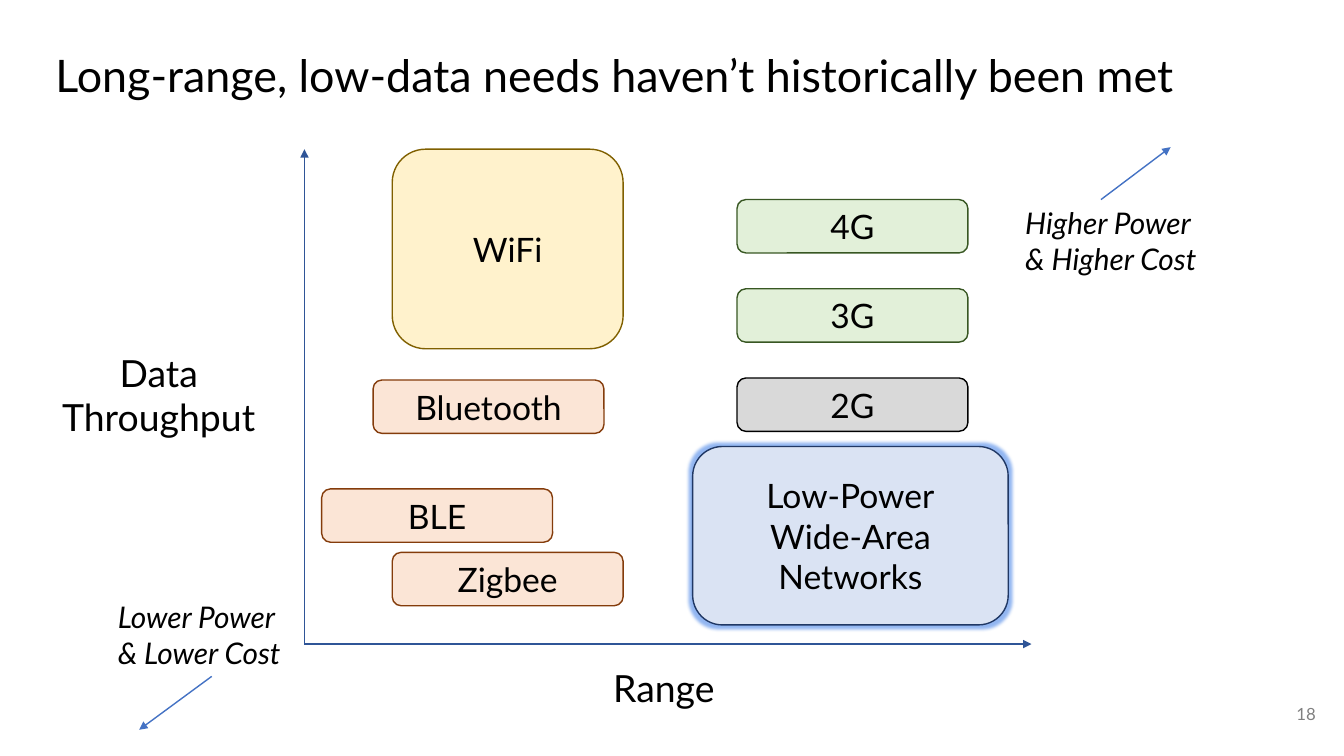
"""Build a slide that places wireless technologies by range and throughput."""
import pptx
import pptx.dml.color
import pptx.enum.shapes
import pptx.enum.text
import pptx.oxml
import pptx.oxml.ns
import pptx.util

Inches = pptx.util.Inches
Pt = pptx.util.Pt
ALIGN = pptx.enum.text.PP_ALIGN
ANCHOR = pptx.enum.text.MSO_ANCHOR

FONT = "Lato"
COLORS = {
    "text": "000000",
    "number": "808080",
    "axis": "2F5597",
    "arrow": "4472C4",
    "glow": "4A86E8",
}
STYLES = {
    "short": ("FBE5D6", "843C0B"),
    "wifi": ("FFF2CC", "806000"),
    "cellular": ("E2F0D9", "385723"),
    "legacy": ("D9D9D9", "000000"),
    "lpwan": ("DAE3F3", "203864"),
}
BAR_WIDTH, BAR_HEIGHT = 2.29, 0.53
CELLULAR_LEFT, CELLULAR_TOP, CELLULAR_STEP = 7.31, 1.98, 0.885
ORIGIN = (3.02, 6.39)


def rgb(value):
    """Turn a hex string into a colour."""
    return pptx.dml.color.RGBColor.from_string(value)


def format_text(frame, size, align, color=COLORS["text"], italic=None):
    """Apply one font and alignment to every paragraph of a frame."""
    for paragraph in frame.paragraphs:
        paragraph.alignment = align
        paragraph.font.name = FONT
        paragraph.font.size = Pt(size)
        paragraph.font.color.rgb = rgb(color)
        paragraph.font.italic = italic


def set_insets(frame, inset):
    """Give a frame the same inset on all four sides."""
    frame.margin_left = frame.margin_right = Inches(inset)
    frame.margin_top = frame.margin_bottom = Inches(inset)


def add_title(slide, text):
    """Fill and place the title placeholder."""
    title = slide.shapes.title
    title.left, title.top = Inches(0.45), Inches(0.43)
    title.width, title.height = Inches(12.42), Inches(0.84)
    frame = title.text_frame
    frame.text = text
    frame.vertical_anchor = ANCHOR.TOP
    frame.auto_size = pptx.enum.text.MSO_AUTO_SIZE.NONE
    set_insets(frame, 0.1)
    format_text(frame, 32, ALIGN.LEFT)
    frame.paragraphs[0].line_spacing = 0.9


def add_label(slide, text, left, top, width, height, size, align, **font):
    """Add a wrapped text box and return its frame."""
    box = slide.shapes.add_textbox(
        Inches(left), Inches(top), Inches(width), Inches(height))
    frame = box.text_frame
    frame.word_wrap = True
    frame.text = text
    format_text(frame, size, align, **font)
    return frame


def add_technology(slide, text, style, left, top,
                   width=BAR_WIDTH, height=BAR_HEIGHT):
    """Add a rounded box that names a technology."""
    shape = slide.shapes.add_shape(
        pptx.enum.shapes.MSO_SHAPE.ROUNDED_RECTANGLE,
        Inches(left), Inches(top), Inches(width), Inches(height))
    fill, line = STYLES[style]
    shape.shadow.inherit = False
    shape.fill.solid()
    shape.fill.fore_color.rgb = rgb(fill)
    shape.line.color.rgb = rgb(line)
    shape.line.width = Pt(1)
    shape.text_frame.word_wrap = True
    shape.text_frame.text = text
    shape.text_frame.vertical_anchor = ANCHOR.MIDDLE
    format_text(shape.text_frame, 24, ALIGN.CENTER)
    return shape


def add_glow(shape):
    """Put a soft glow around a shape."""
    effects = shape._element.spPr.find(pptx.oxml.ns.qn("a:effectLst"))
    effects.append(pptx.oxml.parse_xml(
        f'<a:glow {pptx.oxml.ns.nsdecls("a")} rad="63500">'
        f'<a:srgbClr val="{COLORS["glow"]}"><a:alpha val="60000"/>'
        '</a:srgbClr></a:glow>'))


def add_arrow(slide, start, end, color):
    """Add a straight arrow with its head at the end."""
    arrow = slide.shapes.add_connector(
        pptx.enum.shapes.MSO_CONNECTOR.STRAIGHT,
        *(Inches(value) for value in start + end))
    arrow.line.color.rgb = rgb(COLORS[color])
    arrow.line.width = Pt(1)
    namespace = pptx.oxml.ns.nsdecls("a")
    arrow.line._get_or_add_ln().append(
        pptx.oxml.parse_xml(f'<a:tailEnd {namespace} type="triangle"/>'))
    arrow._element.spPr.append(
        pptx.oxml.parse_xml(f"<a:effectLst {namespace}/>"))


def main():
    """Build and save the slide."""
    presentation = pptx.Presentation()
    presentation.slide_width = Inches(13.33)
    presentation.slide_height = Inches(7.5)
    slide = presentation.slides.add_slide(presentation.slide_layouts[5])

    add_title(slide, "Long-range, low-data needs haven’t historically been met")
    number = add_label(slide, "18", 12.35, 6.8, 0.8, 0.57, 12, ALIGN.RIGHT,
                       color=COLORS["number"])
    number.vertical_anchor = ANCHOR.MIDDLE
    set_insets(number, 0.1)

    add_arrow(slide, ORIGIN, (ORIGIN[0], 1.48), "axis")
    add_arrow(slide, ORIGIN, (10.23, ORIGIN[1]), "axis")

    add_technology(slide, "WiFi", "wifi", 3.89, 1.48, height=1.98)
    for name, left, top in (("Bluetooth", 3.7, 3.77),
                            ("BLE", 3.19, 4.85),
                            ("Zigbee", 3.89, 5.48)):
        add_technology(slide, name, "short", left, top)
    lpwan = add_technology(slide, "Low-Power\vWide-Area Networks", "lpwan",
                           6.87, 4.43, 3.13, 1.77)
    add_glow(lpwan)
    for row, (name, style) in enumerate((("4G", "cellular"),
                                         ("3G", "cellular"),
                                         ("2G", "legacy"))):
        add_technology(slide, name, style, CELLULAR_LEFT,
                       CELLULAR_TOP + row * CELLULAR_STEP)

    add_label(slide, "Data\nThroughput", 0.45, 3.42, 2.25, 1, 26.7, ALIGN.CENTER)
    add_label(slide, "Range", 5.58, 6.55, 2.01, 0.55, 26.7, ALIGN.CENTER)

    add_arrow(slide, (2.1, 6.71), (1.38, 7.24), "arrow")
    add_arrow(slide, (10.92, 1.98), (11.61, 1.46), "arrow")
    add_label(slide, "Lower Power\v& Lower Cost", 1.07, 5.89, 2.03, 0.82,
              21.3, ALIGN.LEFT, italic=True)
    add_label(slide, "Higher Power\v& Higher Cost", 10.07, 1.98, 2.16, 0.82,
              21.3, ALIGN.LEFT, italic=True)

    presentation.save("out.pptx")


if __name__ == "__main__":
    main()
